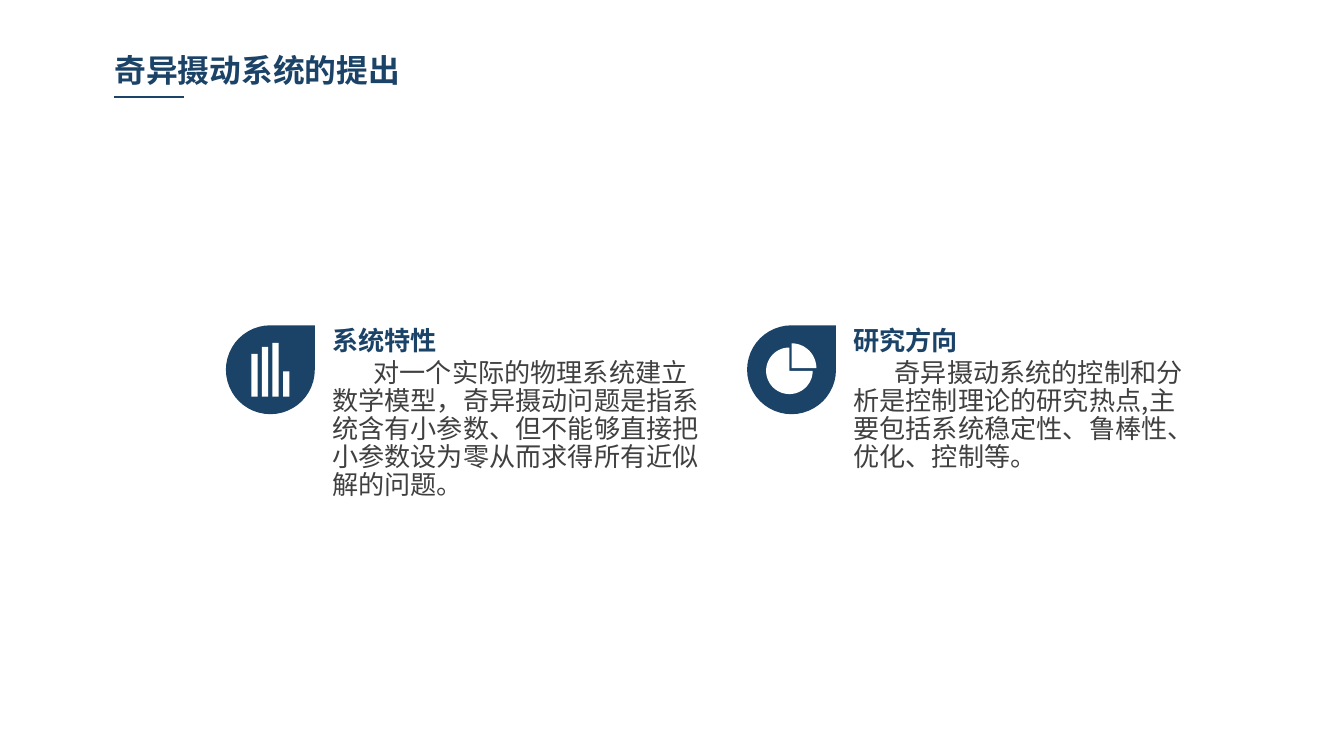
"""Build a slide on singular perturbation systems with two icon topics."""
import math

import lxml.etree
import pptx
import pptx.dml.color
import pptx.enum.shapes
import pptx.oxml.ns
import pptx.util

Cm, Pt = pptx.util.Cm, pptx.util.Pt
KIND = pptx.enum.shapes.MSO_SHAPE
FONT = "Noto Sans CJK SC"
HUES = {"navy": "1B4367", "gray": "404040", "white": "FFFFFF"}

TITLE = "奇异摄动系统的提出"
TOPICS = [
    {"left": 4.27, "wide": 7.54, "icon": "bars", "head": "系统特性",
     "body": "对一个实际的物理系统建立数学模型，奇异摄动问题是指系统含有小参数、"
             "但不能够直接把小参数设为零从而求得所有近似解的问题。"},
    {"left": 14.12, "wide": 6.78, "icon": "pie", "head": "研究方向",
     "body": "奇异摄动系统的控制和分析是控制理论的研究热点,"
             "主要包括系统稳定性、鲁棒性、优化、控制等。"},
]
BARS = [0.81, 0.94, 1.02, 0.48]
WEDGES = [(0.8, 0.86, 0.44, 0, 270), (0.84, 0.81, 0.47, 270, 360)]
DROP_TOP, DROP_SIZE = 6.15, 1.68


def tint(name):
    return pptx.dml.color.RGBColor.from_string(HUES[name])


def paint(shape, hue):
    shape.shadow.inherit = False
    shape.fill.solid()
    shape.fill.fore_color.rgb = tint(hue)
    shape.line.fill.background()


def write(slide, text, box, size, hue, bold=False, space=None, indent=0):
    frame = slide.shapes.add_textbox(*map(Cm, box)).text_frame
    frame.word_wrap = True
    frame.margin_left = frame.margin_right = Cm(0.18)
    frame.margin_top = frame.margin_bottom = Cm(0.1)
    frame.text = text
    para = frame.paragraphs[0]
    if space:
        para.line_spacing = space
        para.space_before = Pt(2.8)
    if indent:
        para._p.get_or_add_pPr().set("indent", str(Cm(indent)))
    font = para.runs[0].font
    font.size, font.bold, font.name = Pt(size), bold, FONT
    font.color.rgb = tint(hue)
    east = lxml.etree.SubElement(font._element, pptx.oxml.ns.qn("a:ea"))
    east.set("typeface", FONT)


def draw_bars(shapes, left, top):
    for i, high in enumerate(BARS):
        box = left + 0.48 + 0.2 * i, top + 1.35 - high, 0.12, high
        paint(shapes.add_shape(KIND.RECTANGLE, *map(Cm, box)), "white")


def draw_pie(shapes, left, top):
    for x, y, rad, start, end in WEDGES:
        mid = Cm(left + x), Cm(top + y)
        turns = [math.radians(deg) for deg in range(start, end + 1, 5)]
        rim = [(mid[0] + Cm(rad * math.cos(t)), mid[1] + Cm(rad * math.sin(t)))
               for t in turns]
        pen = shapes.build_freeform(*mid)
        pen.add_line_segments(rim, close=True)
        paint(pen.convert_to_shape(), "white")


def draw_topic(slide, topic):
    left, text_left = topic["left"], topic["left"] + 1.83
    write(slide, topic["head"], (text_left, 5.79, 5.54, 0.79), 14, "navy", True, 1.4)
    write(slide, topic["body"], (text_left, 6.71, topic["wide"], 2.51), 14, "gray",
          space=Pt(15), indent=0.78)
    shapes = slide.shapes.add_group_shape().shapes
    drop = shapes.add_shape(KIND.TEAR, Cm(left), Cm(DROP_TOP), Cm(DROP_SIZE), Cm(DROP_SIZE))
    paint(drop, "navy")
    draw = {"bars": draw_bars, "pie": draw_pie}[topic["icon"]]
    draw(shapes, left, DROP_TOP)


def main():
    deck = pptx.Presentation()
    deck.slide_width, deck.slide_height = Cm(25.4), Cm(14.29)
    slide = deck.slides.add_slide(deck.slide_layouts[6])
    write(slide, TITLE, (1.98, 0.86, 6.27, 0.91), 17, "navy", True)
    for topic in TOPICS:
        draw_topic(slide, topic)
    rule = slide.shapes.add_connector(
        pptx.enum.shapes.MSO_CONNECTOR.STRAIGHT, Cm(2.16), Cm(1.83), Cm(3.48), Cm(1.83))
    rule.line.color.rgb = tint("navy")
    rule.line.width = Pt(0.75)
    lxml.etree.SubElement(rule._element.spPr, pptx.oxml.ns.qn("a:effectLst"))
    deck.save("out.pptx")


if __name__ == "__main__":
    main()
